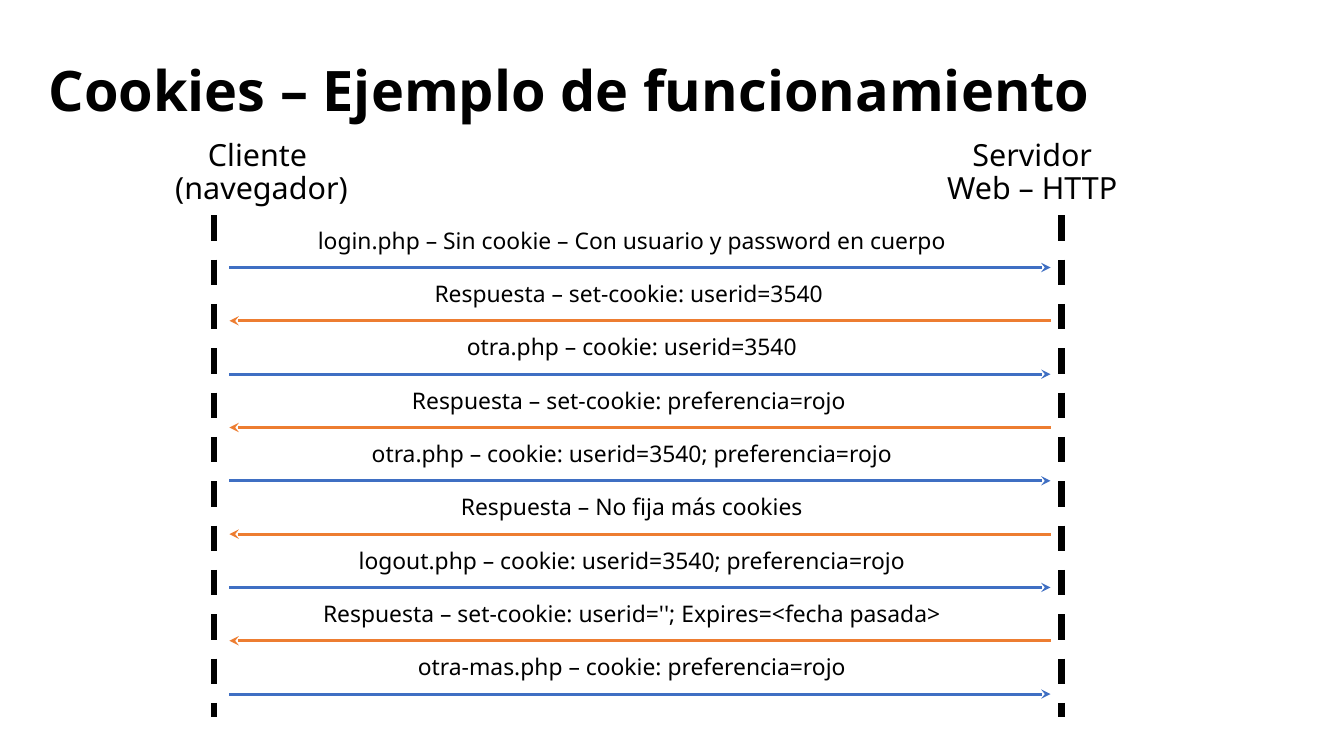
from lxml import etree
from pptx import Presentation
from pptx.dml.color import RGBColor
from pptx.enum.dml import MSO_LINE
from pptx.enum.shapes import MSO_CONNECTOR
from pptx.enum.text import MSO_ANCHOR, PP_ALIGN as ALIGN
from pptx.oxml.ns import qn
from pptx.util import Pt

FONT = "Noto Sans"
BLACK, REQUEST, RESPONSE = "000000", "3F6FC3", "ED7D31"
MESSAGES = [
    "login.php – Sin cookie – Con usuario y password en cuerpo",
    "Respuesta – set-cookie: userid=3540 ",
    "otra.php – cookie: userid=3540",
    "Respuesta – set-cookie: preferencia=rojo ",
    "otra.php – cookie: userid=3540; preferencia=rojo",
    "Respuesta – No fija más cookies",
    "logout.php – cookie: userid=3540; preferencia=rojo",
    "Respuesta – set-cookie: userid=''; Expires=<fecha pasada>",
    "otra-mas.php – cookie: preferencia=rojo",
]


def rgb(color):
    """Turn a hex string into a colour."""
    return RGBColor.from_string(color)


def add_text(s, text, x, y, w, h, size=18, bold=False, align=ALIGN.CENTER, inset=None):
    """Add a vertically centred text box; a vertical tab breaks the line."""
    tf = s.shapes.add_textbox(Pt(x), Pt(y), Pt(w), Pt(h)).text_frame
    tf.word_wrap = True
    tf.vertical_anchor = MSO_ANCHOR.MIDDLE
    if inset is not None:
        tf.margin_left = tf.margin_right = tf.margin_top = tf.margin_bottom = Pt(inset)
    p = tf.paragraphs[0]
    p.text = text
    p.alignment = align
    p.line_spacing = 0.9
    for r in p.runs:
        r.font.name = FONT
        r.font.size = Pt(size)
        r.font.bold = bold
        r.font.color.rgb = rgb(BLACK)


def add_line(s, x1, y1, x2, y2, color, width, dash=None, head=None):
    """Add a straight line, with an optional dash and end arrowhead."""
    sp = s.shapes.add_connector(MSO_CONNECTOR.STRAIGHT, Pt(x1), Pt(y1), Pt(x2), Pt(y2))
    sp.line.color.rgb = rgb(color)
    sp.line.width = Pt(width)
    if dash:
        sp.line.dash_style = dash
    if head:
        etree.SubElement(sp.line._get_or_add_ln(), qn("a:tailEnd"), type=head)
    etree.SubElement(sp._element.spPr, qn("a:effectLst"))


def add_participant(s, name, x, y, w, h, life_x):
    """Add a participant's name at the top of a box and its lifeline below."""
    name_h = 66
    add_text(s, name, x, y, w, name_h, size=24)
    add_line(s, life_x, y + name_h, life_x, y + h, BLACK, 5, dash=MSO_LINE.DASH)


def add_messages(s, x, y, w, h):
    """Stack the messages in a box, each label sitting on its arrow."""
    label_w, label_h = 532.8, 40.3
    step = (h - label_h) / (len(MESSAGES) - 1)
    for i, message in enumerate(MESSAGES):
        top = y + i * step
        line_y = top + label_h
        if i % 2 == 0:
            start, end, color = x, x + w, REQUEST
        else:
            start, end, color = x + w, x, RESPONSE
        add_line(s, start, line_y, end, line_y, color, 2.5, head="stealth")
        add_text(s, message, x + 50.4, top, label_w, label_h)


def main():
    """Build the slide and save it."""
    prs = Presentation()
    prs.slide_width, prs.slide_height = Pt(1058.4), Pt(595.44)
    s = prs.slides.add_slide(prs.slide_layouts[6])
    add_text(s, "Cookies – Ejemplo de funcionamiento", 38.2, 20.2, 987, 106.5,
             size=44, bold=True, align=ALIGN.LEFT, inset=0)
    add_participant(s, "Cliente \v(navegador)", 122.4, 103.5, 167, 461, 168.5)
    add_participant(s, "Servidor\vWeb – HTTP", 729.4, 103.5, 167, 461, 836)
    add_messages(s, 180.7, 170.4, 646.6, 376.3)
    prs.save("out.pptx")


if __name__ == "__main__":
    main()
